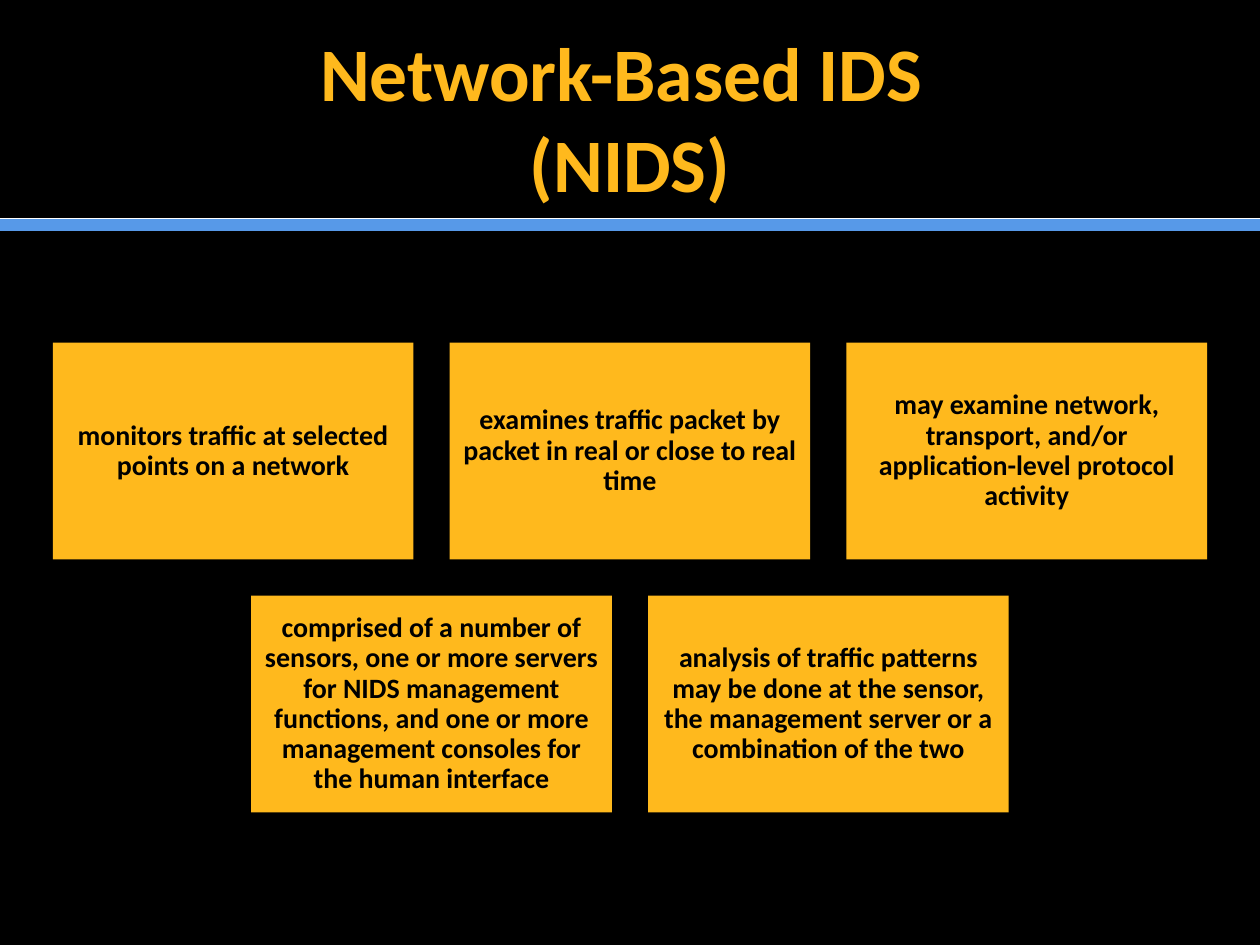
from lxml import etree
from pptx import Presentation
from pptx import util as u
from pptx.dml.color import RGBColor
from pptx.enum import shapes, text
from pptx.oxml import ns

HUES = {"back": "000000", "gold": "FFB91D", "blue": "5799E8",
        "white": "FFFFFF", "ink": "000000"}
WIDE, HIGH = 25.4, 19.05
BOX_W, BOX_H, GAP, TOP = 7.27, 4.37, 0.73, 6.91
ROWS = [
    ["monitors traffic at selected points on a network",
     "examines traffic packet by packet in real or close to real time",
     "may examine network, transport, and/or application-level protocol activity"],
    ["comprised of a number of sensors, one or more servers for NIDS management "
     "functions, and one or more management consoles for the human interface",
     "analysis of traffic patterns may be done at the sensor, the management "
     "server or a combination of the two"],
]


def hue(name):
    return RGBColor.from_string(HUES[name])


def style(par, size, name):
    par.alignment = text.PP_ALIGN.CENTER
    par.font.name = "Calibri"
    par.font.size = u.Pt(size)
    par.font.bold = True
    par.font.color.rgb = hue(name)


def add_title(slide, words):
    title = slide.shapes.title
    title.left, title.top = u.Cm(1.27), u.Cm(0.76)
    title.width, title.height = u.Cm(22.86), u.Cm(3.18)
    frame = title.text_frame
    frame.text = words
    frame.word_wrap = True
    frame.auto_size = text.MSO_AUTO_SIZE.NONE
    frame.vertical_anchor = text.MSO_ANCHOR.MIDDLE
    style(frame.paragraphs[0], 43.2, "gold")


def add_rule(slide, y, name, width):
    rule = slide.shapes.add_connector(
        shapes.MSO_CONNECTOR.STRAIGHT, 0, u.Cm(y), u.Cm(WIDE), u.Cm(y))
    rule.line.color.rgb = hue(name)
    rule.line.width = u.Pt(width)
    etree.SubElement(rule._element.spPr, ns.qn("a:effectLst"))


def add_box(slide, x, y, words):
    box = slide.shapes.add_shape(
        shapes.MSO_SHAPE.RECTANGLE, u.Cm(x), u.Cm(y), u.Cm(BOX_W), u.Cm(BOX_H))
    box.shadow.inherit = False
    box.fill.solid()
    box.fill.fore_color.rgb = hue("gold")
    box.line.fill.background()
    frame = box.text_frame
    frame.text = words
    frame.word_wrap = True
    frame.vertical_anchor = text.MSO_ANCHOR.MIDDLE
    for side in ("left", "right", "top", "bottom"):
        setattr(frame, f"margin_{side}", u.Cm(0.17))
    par = frame.paragraphs[0]
    par.line_spacing = 0.9
    style(par, 16, "ink")


def add_grid(slide):
    for row, items in enumerate(ROWS):
        span = len(items) * (BOX_W + GAP) - GAP
        left = (WIDE - span) / 2
        for col, words in enumerate(items):
            add_box(slide, left + col * (BOX_W + GAP),
                    TOP + row * (BOX_H + GAP), words)


def main():
    deck = Presentation()
    deck.slide_width, deck.slide_height = u.Cm(WIDE), u.Cm(HIGH)
    slide = deck.slides.add_slide(deck.slide_layouts.get_by_name("Title Only"))
    slide.background.fill.solid()
    slide.background.fill.fore_color.rgb = hue("back")
    add_rule(slide, 4.53, "blue", 7)
    add_rule(slide, 4.4, "white", 0.5)
    add_title(slide, "Network-Based IDS \v(NIDS)")
    add_grid(slide)
    deck.save("out.pptx")


if __name__ == "__main__":
    main()
